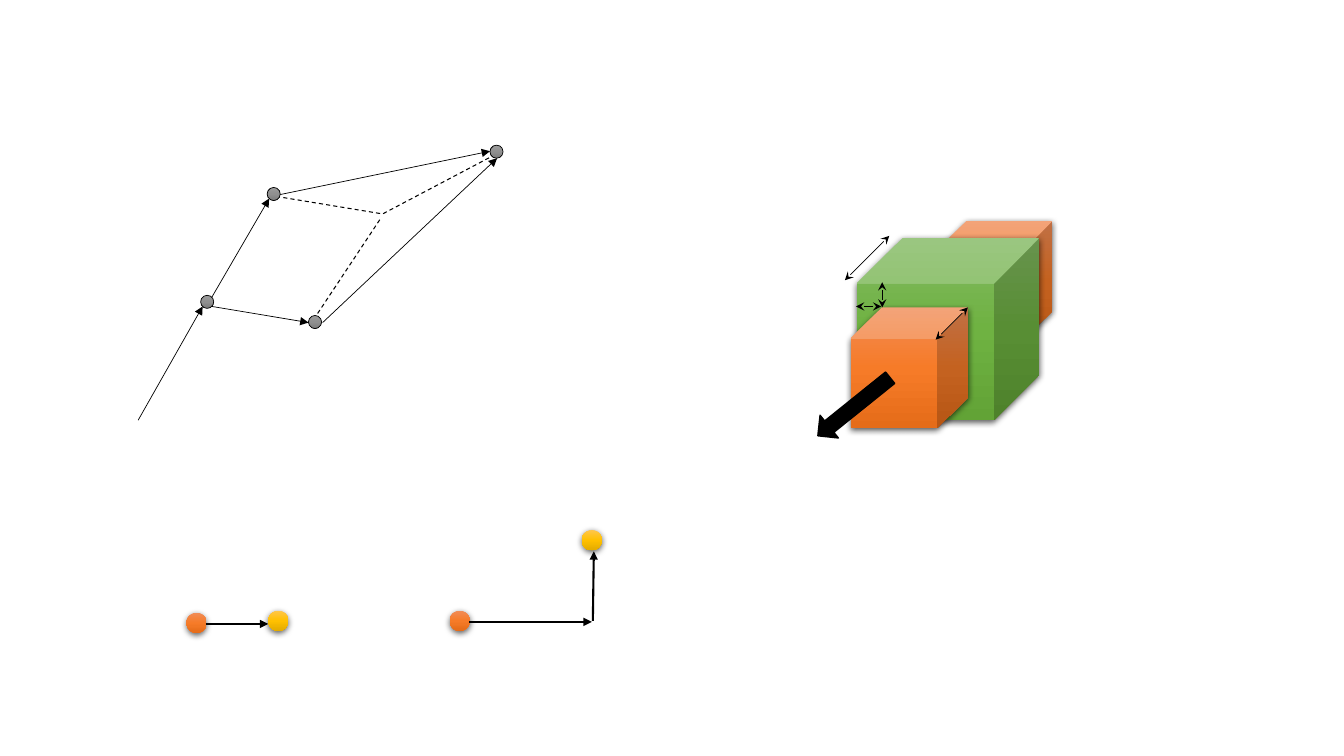
from lxml import etree
from pptx import Presentation
from pptx.dml.color import RGBColor
from pptx.enum.dml import MSO_LINE
from pptx.enum.shapes import MSO_CONNECTOR, MSO_SHAPE
from pptx.oxml.ns import qn
from pptx.util import Inches, Pt

COLORS = {"black": "000000"}
GRADIENTS = {
    "orange": ("F18C57", "F67B28", "E56C19"),
    "green": ("81B861", "6FB242", "62A336"),
    "gray": ("9D9D9D", "909090", "7C7C7C"),
    "yellow": ("FFC64B", "FFC000", "E3AB00"),
}
SHADOW = {"blurRad": Pt(4.5), "dist": Pt(1.5), "dir": 90 * 60000,
          "algn": "ctr", "rotWithShape": 0}

# Cubes, back to front: gradient, left, top, width, height, depth ratio
CUBES = [
    ("orange", 9.28, 2.19, 1.16, 1.2, 0.265),
    ("green", 8.5, 2.36, 1.81, 1.81, 0.25),
    ("orange", 8.44, 3.05, 1.16, 1.2, 0.265),
]
PULL_ARROW = (8.01, 3.89, 0.92, 0.29)
PULL_ANGLE = 141.2

# Dots: left, top
NODE_SIZE, BALL_SIZE = 0.13, 0.2
NODES = [(1.99, 2.93), (3.06, 3.13), (2.65, 1.86), (4.86, 1.44)]
BALLS = [
    ("orange", 1.85, 6.08), ("yellow", 2.66, 6.06),
    ("orange", 4.46, 6.06), ("yellow", 5.77, 5.26),
]

# Lines: start x, start y, end x, end y
LINES = {
    "dimension": [
        (8.82, 2.34, 8.38, 2.78), (8.74, 3.04, 8.49, 3.04),
        (8.75, 2.8, 8.75, 3.05), (9.6, 3.05, 9.28, 3.37),
    ],
    "vector": [
        (1.37, 4.17, 2.01, 3.04), (2.1, 2.95, 2.67, 1.97),
        (2.78, 1.93, 4.86, 1.5), (2.1, 3.04, 3.06, 3.2),
        (3.2, 3.2, 4.93, 1.57),
    ],
    "projection": [
        (3.15, 3.11, 3.78, 2.16), (2.81, 1.96, 3.78, 2.12),
        (3.8, 2.12, 4.88, 1.55),
    ],
    "move": [
        (2.04, 6.19, 2.66, 6.19), (4.65, 6.17, 5.87, 6.17),
        (5.88, 6.16, 5.89, 5.47),
    ],
}
# Formats: line attributes, arrowheads in schema order
LINE_FORMATS = {
    "dimension": ({"width": Pt(0.5)}, {"headEnd": "stealth", "tailEnd": "stealth"}),
    "vector": ({"width": Pt(0.5)}, {"tailEnd": "triangle"}),
    "projection": ({"width": Pt(0.75), "dash_style": MSO_LINE.DASH}, {}),
    "move": ({"width": Pt(1.5)}, {"tailEnd": "triangle"}),
}

prs = Presentation()
prs.slide_width, prs.slide_height = Inches(13.33), Inches(7.5)
slide = prs.slides.add_slide(prs.slide_layouts[6])


def add_child(parent, tag, **attributes):
    child = etree.SubElement(parent, qn(tag))
    for name, value in attributes.items():
        child.set(name, str(value))
    return child


def paint_line(line, **line_format):
    line.color.rgb = RGBColor.from_string(COLORS["black"])
    for name, value in line_format.items():
        setattr(line, name, value)


def add_body(preset, box):
    body = slide.shapes.add_shape(preset, *map(Inches, box))
    body.shadow.inherit = False
    return body


def paint_gradient(body, gradient):
    body.fill.gradient()
    body.fill.gradient_angle = 270
    stops = body._element.spPr.find(qn("a:gradFill")).find(qn("a:gsLst"))
    for stop in list(stops):
        stops.remove(stop)
    for position, color in zip((0, 50000, 100000), GRADIENTS[gradient]):
        add_child(add_child(stops, "a:gs", pos=position), "a:srgbClr", val=color)


def add_solid(preset, gradient, box):
    """A borderless gradient body with a soft shadow below."""
    body = add_body(preset, box)
    paint_gradient(body, gradient)
    body.line.fill.background()
    effects = body._element.spPr.find(qn("a:effectLst"))
    shadow = add_child(effects, "a:outerShdw", **SHADOW)
    tint = add_child(shadow, "a:srgbClr", val=COLORS["black"])
    add_child(tint, "a:alpha", val=63000)
    return body


# Cubes
for gradient, left, top, width, height, depth in CUBES:
    cube = add_solid(MSO_SHAPE.CUBE, gradient, (left, top, width, height))
    cube.adjustments[0] = depth

# Graph nodes and balls
for left, top in NODES:
    node = add_body(MSO_SHAPE.OVAL, (left, top, NODE_SIZE, NODE_SIZE))
    paint_gradient(node, "gray")
    paint_line(node.line, width=Pt(0.5))
for gradient, left, top in BALLS:
    add_solid(MSO_SHAPE.OVAL, gradient, (left, top, BALL_SIZE, BALL_SIZE))

# Lines and arrows
for role, segments in LINES.items():
    line_format, arrowheads = LINE_FORMATS[role]
    for segment in segments:
        connector = slide.shapes.add_connector(
            MSO_CONNECTOR.STRAIGHT, *map(Inches, segment))
        paint_line(connector.line, **line_format)
        properties = connector._element.spPr
        for end, kind in arrowheads.items():
            add_child(properties.find(qn("a:ln")), f"a:{end}", type=kind)
        add_child(properties, "a:effectLst")

# Thick arrow pulling the front cube
pull = add_body(MSO_SHAPE.RIGHT_ARROW, PULL_ARROW)
pull.rotation = PULL_ANGLE
pull.fill.solid()
pull.fill.fore_color.rgb = RGBColor.from_string(COLORS["black"])
paint_line(pull.line, width=Pt(1))

prs.save("out.pptx")
